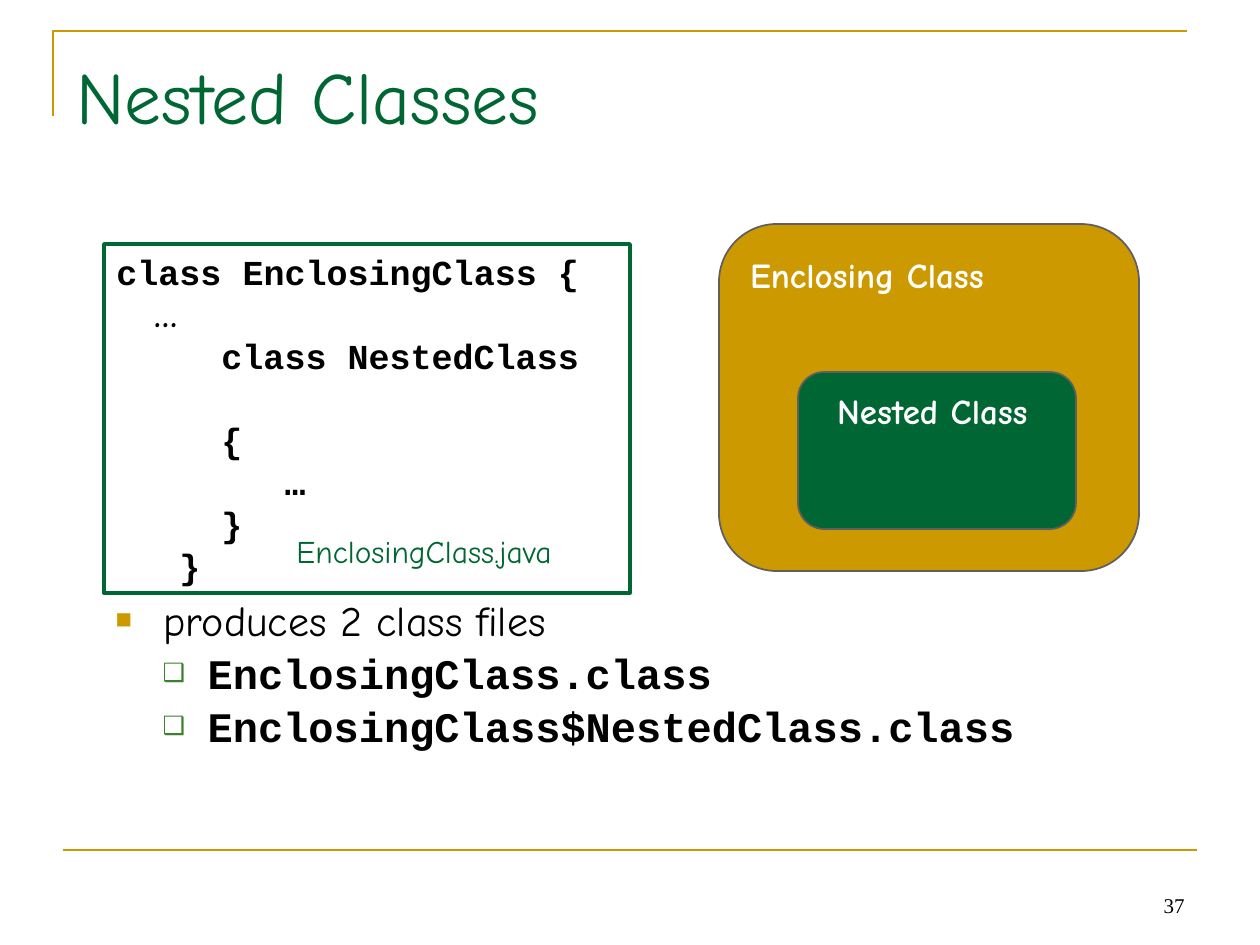
from pptx import Presentation
from pptx.dml.color import RGBColor
from pptx.enum.shapes import MSO_CONNECTOR, MSO_SHAPE
from pptx.enum.text import MSO_ANCHOR, MSO_AUTO_SIZE, PP_ALIGN
from pptx.oxml.ns import qn
from pptx.util import Emu, Pt
from lxml import etree

LINE = MSO_CONNECTOR.STRAIGHT
RECT, ROUND = MSO_SHAPE.RECTANGLE, MSO_SHAPE.FLOWCHART_ALTERNATE_PROCESS
TOP, MID, LOW = MSO_ANCHOR.TOP, MSO_ANCHOR.MIDDLE, MSO_ANCHOR.BOTTOM
LEFT, CENTER, RIGHT = PP_ALIGN.LEFT, PP_ALIGN.CENTER, PP_ALIGN.RIGHT
FIXED = MSO_AUTO_SIZE.NONE

THEME = dict(
    gold="CC9900", green="006633", leaf="3B812F", gray="5F5F5F",
    black="000000", white="FFFFFF",
    hand="Comic Neue", mono="Courier New", serif="Times New Roman",
    head=42, list=24, code=20, file=18, page=12,
)
TITLE = "Nested Classes"
CODE = [
    ("class EnclosingClass {", 0, "mono", 0),
    ("   …", 0, "hand", 0),
    ("  class NestedClass", 63, "mono", 0),
    ("  {", 63, "mono", 24),
    ("     …", 63, "mono", 0),
    ("  }", 63, "mono", 0),
    ("}", 63, "mono", 0),
]
ITEMS = [
    ("produces 2 class files", 0),
    ("EnclosingClass.class", 1),
    ("EnclosingClass$NestedClass.class", 1),
]
LEVELS = [
    dict(mark="■", tint="gold", scale=65, left=48, hang=48, font="hand", bold=False),
    dict(mark="❑", tint="leaf", scale=60, left=92, hang=45, font="mono", bold=True),
]
CARDS = [
    ((719, 224, 420, 347), "gold", "Enclosing Class", (738, 246, 258, 56)),
    ((798, 372, 278, 157), "green", "Nested Class", (824, 382, 217, 56)),
]
FILE, PAGE = "EnclosingClass.java", "37"


def px(n):
    return Emu(round(n * 914400 / 126))


def color(name):
    return RGBColor.from_string(THEME[name])


def place(shape, box):
    for key, val in zip(("left", "top", "width", "height"), box):
        setattr(shape, key, px(val))


def frame(shape, anchor=TOP, wrap=True):
    tf = shape.text_frame
    style = dict(
        auto_size=FIXED, word_wrap=wrap, vertical_anchor=anchor,
        margin_left=px(12.6), margin_right=px(12.6),
        margin_top=px(6.3), margin_bottom=px(6.3),
    )
    for key, val in style.items():
        setattr(tf, key, val)
    return tf


def write(para, text, font, size, tint, bold=False, align=LEFT):
    para.text = text
    para.alignment = align
    style = dict(name=THEME[font], size=Pt(THEME[size]), bold=bold)
    for key, val in style.items():
        setattr(para.font, key, val)
    para.font.color.rgb = color(tint)


def paras(tf, count):
    return [tf.paragraphs[0]] + [tf.add_paragraph() for _ in range(count - 1)]


def block(shapes, kind, box, fill=None, line=None, width=1):
    shape = shapes.add_shape(kind, *map(px, box))
    shape.shadow.inherit = False
    if fill:
        shape.fill.solid()
        shape.fill.fore_color.rgb = color(fill)
    else:
        shape.fill.background()
    if line:
        shape.line.color.rgb = color(line)
        shape.line.width = Pt(width)
    else:
        shape.line.fill.background()
    return shape


def bullet(para, mark, tint, scale, left, hang):
    prop = para._p.get_or_add_pPr()
    prop.set("marL", str(px(left)))
    prop.set("indent", str(px(-hang)))
    tone = etree.SubElement(prop, qn("a:buClr"))
    etree.SubElement(tone, qn("a:srgbClr"), val=THEME[tint])
    etree.SubElement(prop, qn("a:buSzPct"), val=str(scale * 1000))
    etree.SubElement(prop, qn("a:buChar"), char=mark)


def rules(shapes):
    path = shapes.build_freeform(px(53), px(116), scale=1.0)
    path.add_line_segments([(px(53), px(31)), (px(1187), px(31))], close=False)
    bend = path.convert_to_shape()
    bend.shadow.inherit = False
    bend.fill.background()
    foot = shapes.add_connector(LINE, px(63), px(850), px(1197), px(850))
    etree.SubElement(foot._element.spPr, qn("a:effectLst"))
    for rule in (bend, foot):
        rule.line.color.rgb = color("gold")
        rule.line.width = Pt(1.5)


def listing(shapes):
    box = block(shapes, RECT, (104, 244, 526, 349), line="green", width=2)
    tf = frame(box)
    for para, (text, left, font, gap) in zip(paras(tf, len(CODE)), CODE):
        para.line_spacing = Pt(24)
        para.space_before = Pt(gap)
        para._p.get_or_add_pPr().set("marL", str(px(left)))
        write(para, text, font, "code", "black", True)
    tag = block(shapes, RECT, (284, 526, 336, 50), "white")
    write(frame(tag, MID).paragraphs[0], FILE, "hand", "file", "green")


def cards(shapes):
    group = shapes.add_group_shape().shapes
    for box, fill, text, spot in CARDS:
        block(group, ROUND, box, fill, "gray")
        label = group.add_textbox(*map(px, spot))
        para = frame(label, MID, False).paragraphs[0]
        write(para, text, "hand", "code", "white", True, CENTER)


def points(body):
    place(body, (103, 588, 1075, 237))
    tf = frame(body)
    for n, (para, (text, level)) in enumerate(zip(paras(tf, len(ITEMS)), ITEMS)):
        look = dict(LEVELS[level])
        font, bold = look.pop("font"), look.pop("bold")
        para.level = level
        bullet(para, **look)
        para.line_spacing = Pt(28.8)
        para.space_before = Pt(1.5 if n else 0)
        write(para, text, font, "list", "black", bold)


def main():
    deck = Presentation()
    deck.slide_width, deck.slide_height = px(1260), px(945)
    slide = deck.slides.add_slide(deck.slide_layouts[1])
    shapes = slide.shapes
    title, body = slide.placeholders
    rules(shapes)
    place(title, (64, 45, 1142, 158))
    write(frame(title).paragraphs[0], TITLE, "hand", "head", "green")
    points(body)
    cards(shapes)
    listing(shapes)
    page = shapes.add_textbox(*map(px, (903, 861, 294, 63)))
    write(frame(page, LOW).paragraphs[0], PAGE, "serif", "page", "black", align=RIGHT)
    deck.save("out.pptx")


if __name__ == "__main__":
    main()
